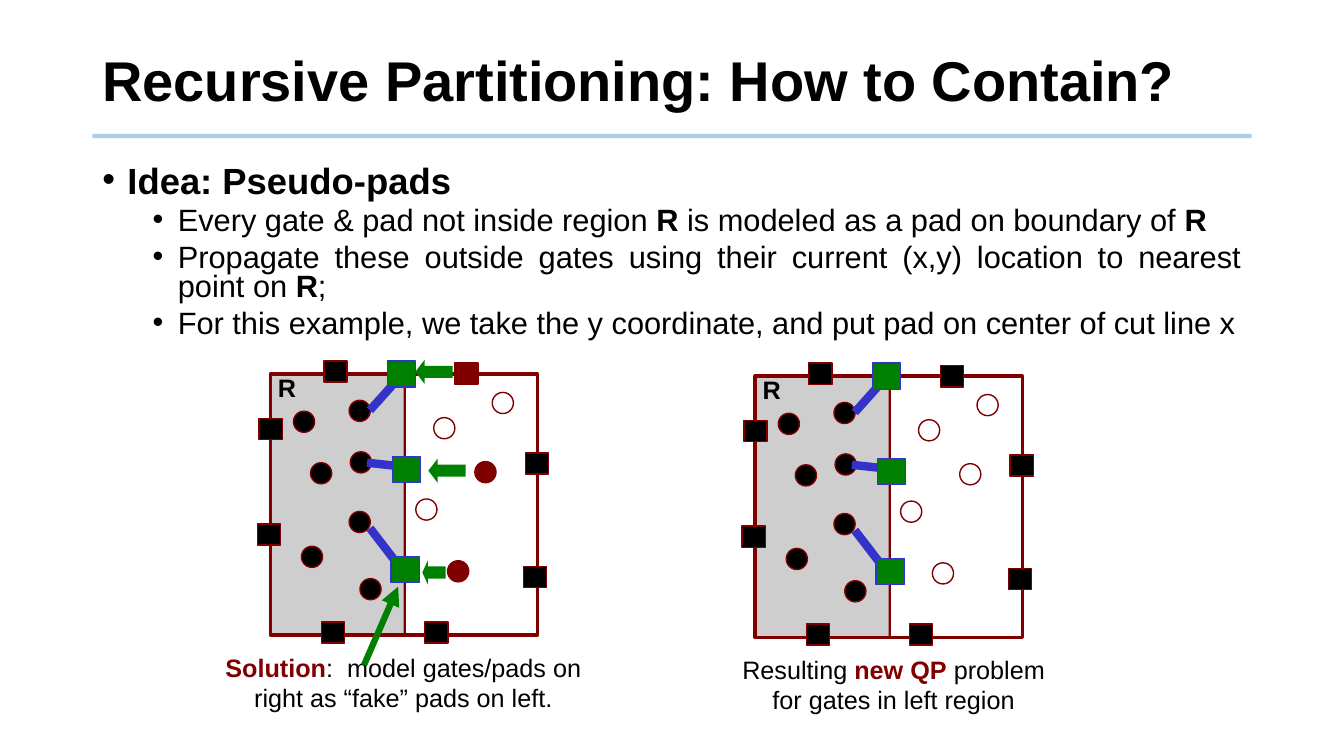
from lxml.etree import SubElement
from pptx import Presentation
from pptx.dml.color import RGBColor
from pptx.enum.shapes import MSO_CONNECTOR, MSO_SHAPE
from pptx.enum.text import MSO_ANCHOR, PP_ALIGN
from pptx.oxml.ns import qn
from pptx.util import Pt

HUES = {"black": "000000", "red": "800000", "gray": "CECECE", "blue": "3333CC",
        "green": "008000", "rule": "5B9BD5"}
RECT, OVAL = MSO_SHAPE.RECTANGLE, MSO_SHAPE.OVAL
DOTS = [(16.6, 26.6), (28.8, 63.4), (22.3, 123.1), (64.1, 146.2),
        (56.4, 98.2), (56.4, 18.8), (57.2, 55.6)]
RINGS = [(158.6, 13.2), (104, 89.3), (116.8, 31.2)]
OUTER = [(146.2, 62.6), (126.7, 133.4)]
PADS = [(-7.9, 31.8), (-9.2, 107.2), (36.7, 177.1), (110.4, 177.1),
        (181, 137.4), (182.2, 56.4), (38.4, -9.2)]
FAKES = [(83.8, -9.2), (87.3, 59), (86.4, 130.3)]
WIRES = [(71.2, 26, 87, 8.4), (69.2, 63.4, 96.6, 66.4), (71.3, 110.2, 92.9, 138.3)]
MOVES = [(103.7, -10.1, 26.6), (113, 60.5, 26.6), (108.7, 133.2, 16.6)]
BULLETS = [
    [("Every gate & pad not inside region ", False), ("R", True),
     (" is modeled as a pad on boundary of ", False), ("R", True)],
    [("Propagate these outside gates using their current (x,y) location to nearest point on ", False),
     ("R", True), (";", False)],
    [("For this example, we take the y coordinate, and put pad on center of cut line x", False)],
]


def tint(name):
    """Return the named colour."""
    return RGBColor.from_string(HUES[name])


def shape(slide, kind, box, fill=None, edge=None, width=1):
    """Add a preset shape with a given fill and outline."""
    item = slide.shapes.add_shape(kind, *map(Pt, box))
    item.shadow.inherit = False
    if fill:
        item.fill.solid()
        item.fill.fore_color.rgb = tint(fill)
    else:
        item.fill.background()
    if edge:
        item.line.color.rgb = tint(edge)
        item.line.width = Pt(width)
    else:
        item.line.fill.background()
    return item


def line(slide, ends, hue, width):
    """Add a straight line without a shadow."""
    item = slide.shapes.add_connector(MSO_CONNECTOR.STRAIGHT, *map(Pt, ends))
    item.line.color.rgb = tint(hue)
    item.line.width = Pt(width)
    SubElement(item._element.spPr, qn("a:effectLst"))
    return item


def frame(slide, box, wrap=True):
    """Add a text box and return its frame."""
    text = slide.shapes.add_textbox(*map(Pt, box)).text_frame
    text.word_wrap = wrap
    return text


def write(para, text, size, bold=False, hue="black"):
    """Add one run to a paragraph."""
    run = para.add_run()
    run.text = text
    run.font.name = "Arial"
    run.font.size = Pt(size)
    run.font.bold = bold
    run.font.color.rgb = tint(hue)


def header(slide, x, y, w, h):
    """Draw the title and the rule under it."""
    rule = line(slide, (x, y + 77, x + w, y + 77), "rule", 3)
    color = next(rule._element.spPr.iter(qn("a:srgbClr")))
    SubElement(color, qn("a:alpha"), val="50000")
    text = frame(slide, (x, y, w, h))
    text.vertical_anchor = MSO_ANCHOR.MIDDLE
    para = text.paragraphs[0]
    para.line_spacing = 0.9
    write(para, "Recursive Partitioning: How to Contain?", 40, True)


def bullet(para, left, gap):
    """Give a paragraph a hanging bullet, line spacing and space before."""
    props = para._p.get_or_add_pPr()
    props.set("marL", str(Pt(left)))
    props.set("indent", str(Pt(-18)))
    SubElement(props, qn("a:buFont"), typeface="Arial")
    SubElement(props, qn("a:buChar"), char="•")
    para.alignment = PP_ALIGN.JUSTIFY
    para.line_spacing = 0.8
    if gap:
        para.space_before = Pt(gap)


def body(slide, x, y, w, h):
    """Write the idea and its bullets."""
    text = frame(slide, (x, y, w, h))
    lead = text.paragraphs[0]
    bullet(lead, 18, 0)
    write(lead, "Idea: Pseudo-pads", 26, True)
    for runs in BULLETS:
        para = text.add_paragraph()
        para.level = 1
        bullet(para, 54, 5)
        for words, bold in runs:
            write(para, words, 22, bold)


def region(slide, x, y, w, h):
    """Draw the cut region with its gates, pads, wires and fake pads."""
    shape(slide, RECT, (x + 0.7, y - 0.5, w / 2, h), None, "red", 2.25)
    shape(slide, RECT, (x - 1, y - 0.7, w / 2 + 1, h), "gray")
    shape(slide, RECT, (x, y, w, h), None, "red", 2.25)
    for spots, fill in ((DOTS, "black"), (RINGS, None)):
        for dx, dy in spots:
            shape(slide, OVAL, (x + dx, y + dy, 15.1, 15.1), fill, "red")
    for dx, dy in PADS:
        shape(slide, RECT, (x + dx, y + dy, 16.6, 15.1), "black", "red")
    for ax, ay, bx, by in WIRES:
        line(slide, (x + ax, y + ay, x + bx, y + by), "blue", 6)
    for dx, dy in FAKES:
        shape(slide, RECT, (x + dx, y + dy, 20.2, 18.7), "green", "blue")
    write(frame(slide, (x - 1.6, y - 5, 27.4, 28.8), False).paragraphs[0], "R", 18, True)


def before(slide, x, y, w, h):
    """Draw the region with outside gates moving to the cut line."""
    region(slide, x, y, w, h)
    for dx, dy in OUTER:
        shape(slide, OVAL, (x + dx, y + dy, 15.1, 15.1), "red", "red")
    shape(slide, RECT, (x + 131.8, y - 7.9, 16.6, 15.1), "red", "red")
    for dx, dy, size in MOVES:
        move = shape(slide, MSO_SHAPE.LEFT_ARROW, (x + dx, y + dy, size, 17.3), "green")
        move.adjustments[1] = 0.25 * size / 17.3
    para = caption(slide, x - 42.8, y + 195.1, 275.8)
    write(para, "Solution", 18, True, "red")
    write(para, ":  model gates/pads on", 18)
    para.add_line_break()
    write(para, "right as “fake” pads on left.", 18)
    hint = line(slide, (x + 67, y + 208, x + 91.4, y + 152), "green", 4.5)
    SubElement(hint.line._get_or_add_ln(), qn("a:tailEnd"), type="triangle")


def after(slide, x, y, w, h):
    """Draw the region with only the new problem left."""
    region(slide, x, y, w, h)
    for dx, dy in OUTER:
        shape(slide, OVAL, (x + dx, y + dy, 15.1, 15.1), None, "red")
    shape(slide, RECT, (x + 132.4, y - 7.4, 16.6, 15.1), "black", "red")
    para = caption(slide, x - 17.3, y + 195.1, 232.6)
    write(para, "Resulting ", 18)
    write(para, "new QP", 18, True, "red")
    write(para, " problem", 18)
    para.add_line_break()
    write(para, "for gates in left region", 18)


def caption(slide, x, y, w):
    """Add a centred caption box and return its paragraph."""
    para = frame(slide, (x, y, w, 51), False).paragraphs[0]
    para.alignment = PP_ALIGN.CENTER
    return para


def main():
    """Build the slide and save it."""
    deck = Presentation()
    deck.slide_width, deck.slide_height = Pt(960), Pt(540)
    slide = deck.slides.add_slide(deck.slide_layouts[6])
    header(slide, 66, 20.2, 828, 79.2)
    body(slide, 66, 115.2, 828, 370.8)
    before(slide, 193, 267.1, 190.8, 186.5)
    after(slide, 539.3, 268.6, 190.8, 186.5)
    deck.save("out.pptx")


if __name__ == "__main__":
    main()
